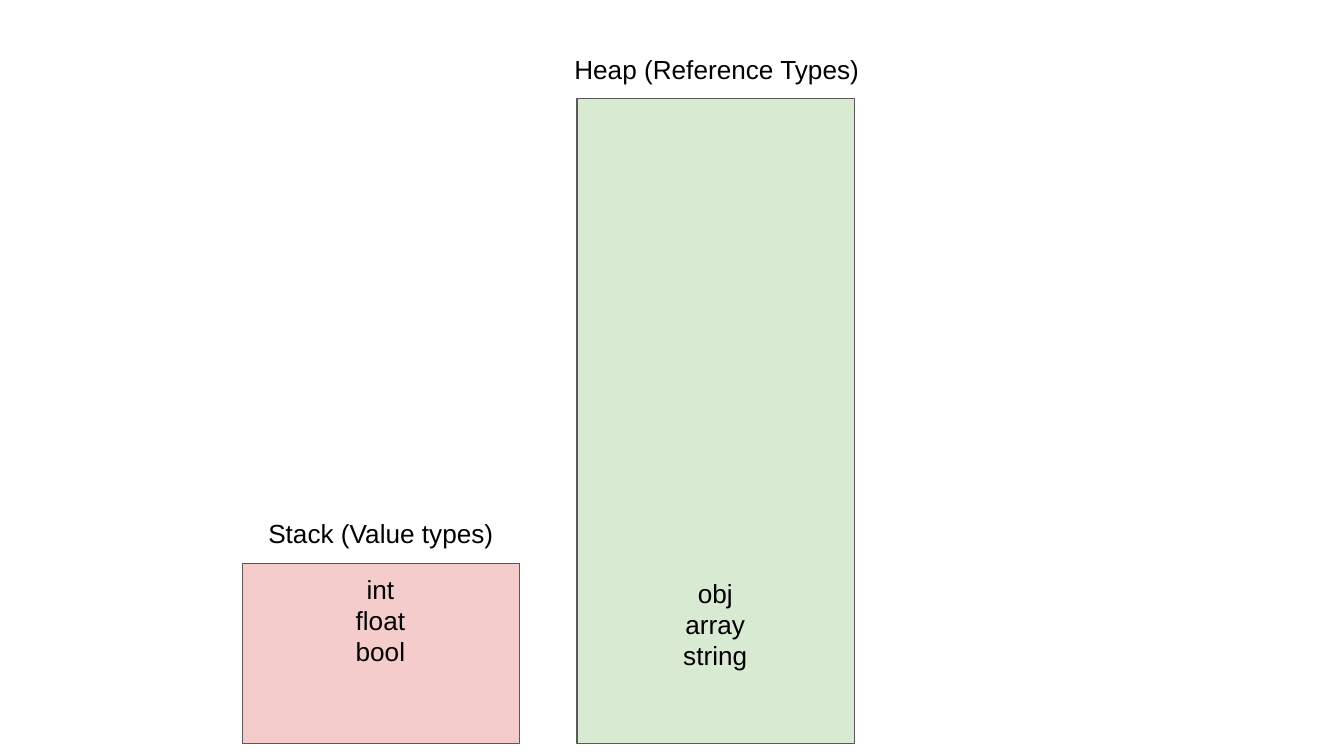
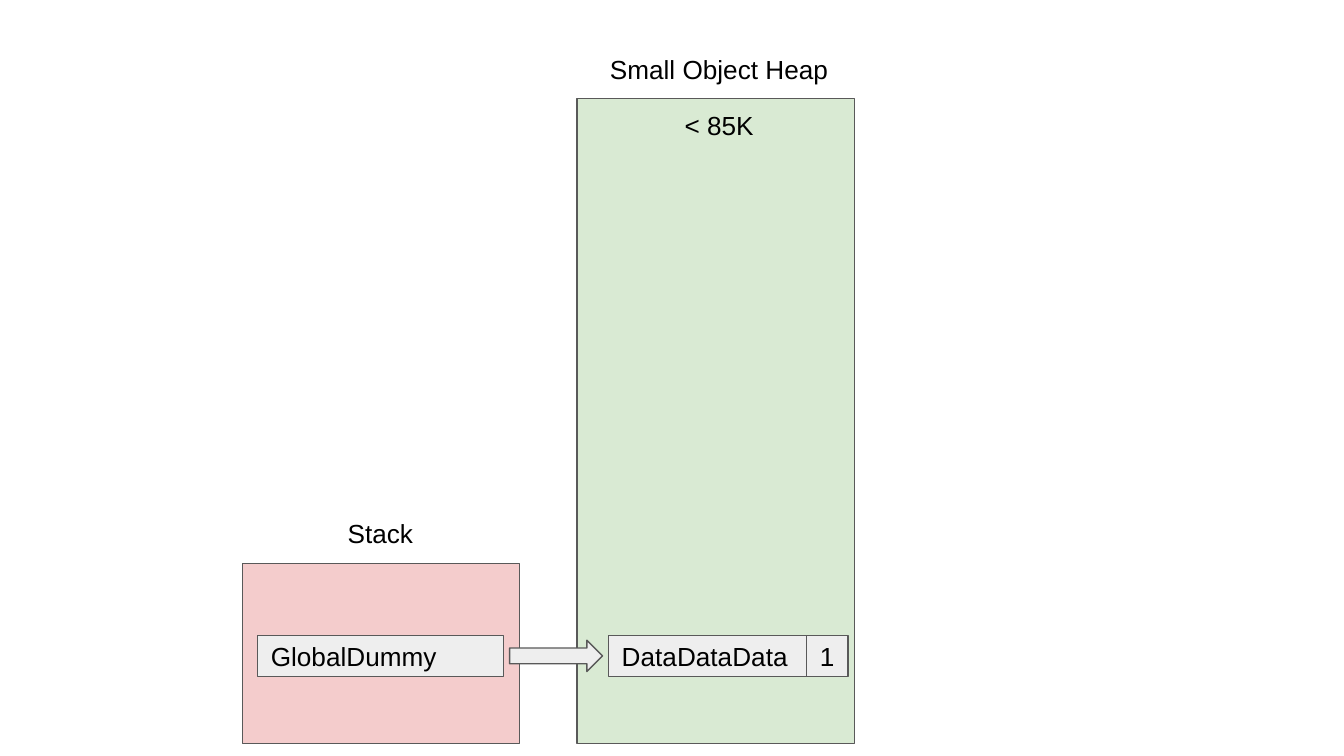
"""Build two slides that show how the stack and the heap hold data."""
import pptx
import pptx.dml.color
import pptx.enum.shapes
import pptx.enum.text
import pptx.util

Pt = pptx.util.Pt
ALIGN = pptx.enum.text.PP_ALIGN
ANCHOR = pptx.enum.text.MSO_ANCHOR
SHAPE = pptx.enum.shapes.MSO_SHAPE

COLORS = {
    "stack": "F4CCCC",
    "heap": "D9EAD3",
    "cell": "EEEEEE",
    "line": "595959",
    "text": "000000",
}
FONT = "Arial"
FONT_SIZE = 14
INSET = 7.2
LABEL_HEIGHT = 31.6
LIST_SIZE = (115.2, 65.6)
REGION_WIDTH = 148.6
REGION_BOTTOM = 398.4
STACK_LEFT, STACK_TOP = 129.8, 301.8
HEAP_LEFT, HEAP_TOP = 309.1, 52.7
STACK_LABEL_TOP, HEAP_LABEL_TOP = 270.2, 21.6
CELL_TOP, CELL_HEIGHT = 340.4, 22.2


def color(name):
    return pptx.dml.color.RGBColor.from_string(COLORS[name])


def write_lines(shape, lines, align, anchor):
    frame = shape.text_frame
    frame.word_wrap = True
    frame.vertical_anchor = anchor
    frame.margin_left = frame.margin_right = Pt(INSET)
    frame.margin_top = frame.margin_bottom = Pt(INSET)
    for index, line in enumerate(lines):
        paragraph = frame.add_paragraph() if index else frame.paragraphs[0]
        paragraph.alignment = align
        run = paragraph.add_run()
        run.text = line
        run.font.name = FONT
        run.font.size = Pt(FONT_SIZE)
        run.font.color.rgb = color("text")


def add_box(slide, left, top, width, height, fill, kind=SHAPE.RECTANGLE):
    shape = slide.shapes.add_shape(kind, Pt(left), Pt(top), Pt(width), Pt(height))
    shape.shadow.inherit = False
    shape.fill.solid()
    shape.fill.fore_color.rgb = color(fill)
    shape.line.color.rgb = color("line")
    shape.line.width = Pt(0.75)
    return shape


def add_label(slide, left, top, width, height, *lines):
    box = slide.shapes.add_textbox(Pt(left), Pt(top), Pt(width), Pt(height))
    write_lines(box, lines, ALIGN.CENTER, ANCHOR.TOP)
    box.text_frame.auto_size = pptx.enum.text.MSO_AUTO_SIZE.SHAPE_TO_FIT_TEXT


def add_cell(slide, left, width, text):
    cell = add_box(slide, left, CELL_TOP, width, CELL_HEIGHT, "cell")
    write_lines(cell, [text], ALIGN.LEFT, ANCHOR.MIDDLE)


def add_memory_slide(presentation):
    slide = presentation.slides.add_slide(presentation.slide_layouts[6])
    for left, top, fill in ((STACK_LEFT, STACK_TOP, "stack"), (HEAP_LEFT, HEAP_TOP, "heap")):
        add_box(slide, left, top, REGION_WIDTH, REGION_BOTTOM - top, fill)
    return slide


def build_types_slide(presentation):
    slide = add_memory_slide(presentation)
    add_label(slide, STACK_LEFT, STACK_LABEL_TOP, REGION_WIDTH, 48, "Stack (Value types)")
    add_label(slide, 299.4, HEAP_LABEL_TOP, 169.2, LABEL_HEIGHT, "Heap (Reference Types)")
    add_label(slide, 146.2, 299.8, *LIST_SIZE, "int", "float", "bool")
    add_label(slide, 325.6, 302, *LIST_SIZE, "obj", "array", "string")


def build_reference_slide(presentation):
    slide = add_memory_slide(presentation)
    add_label(slide, 146.2, STACK_LABEL_TOP, 115.2, LABEL_HEIGHT, "Stack")
    for top, text in ((HEAP_LABEL_TOP, "Small Object Heap"), (51.4, "< 85K")):
        add_label(slide, 312.9, top, 144.7, LABEL_HEIGHT, text)
    add_cell(slide, 138, 131.8, "GlobalDummy")
    add_box(slide, 273, 343, 49.8, 16.8, "cell", SHAPE.RIGHT_ARROW)
    add_cell(slide, 326, 107.2, "DataDataData")
    add_cell(slide, 432.2, CELL_HEIGHT, "1")


def main():
    presentation = pptx.Presentation()
    presentation.slide_width = Pt(720)
    presentation.slide_height = Pt(405)
    build_types_slide(presentation)
    build_reference_slide(presentation)
    presentation.save("out.pptx")


main()
